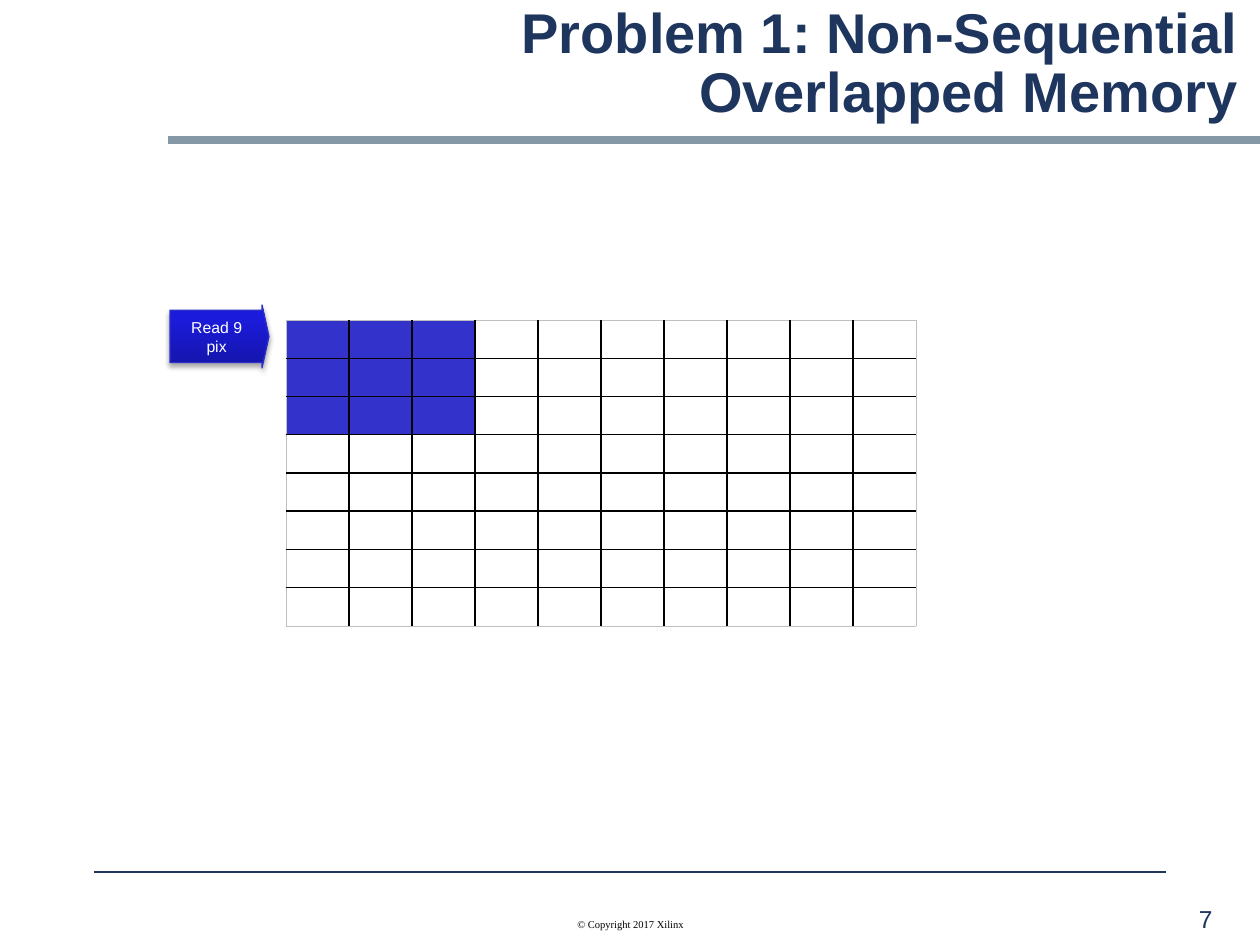
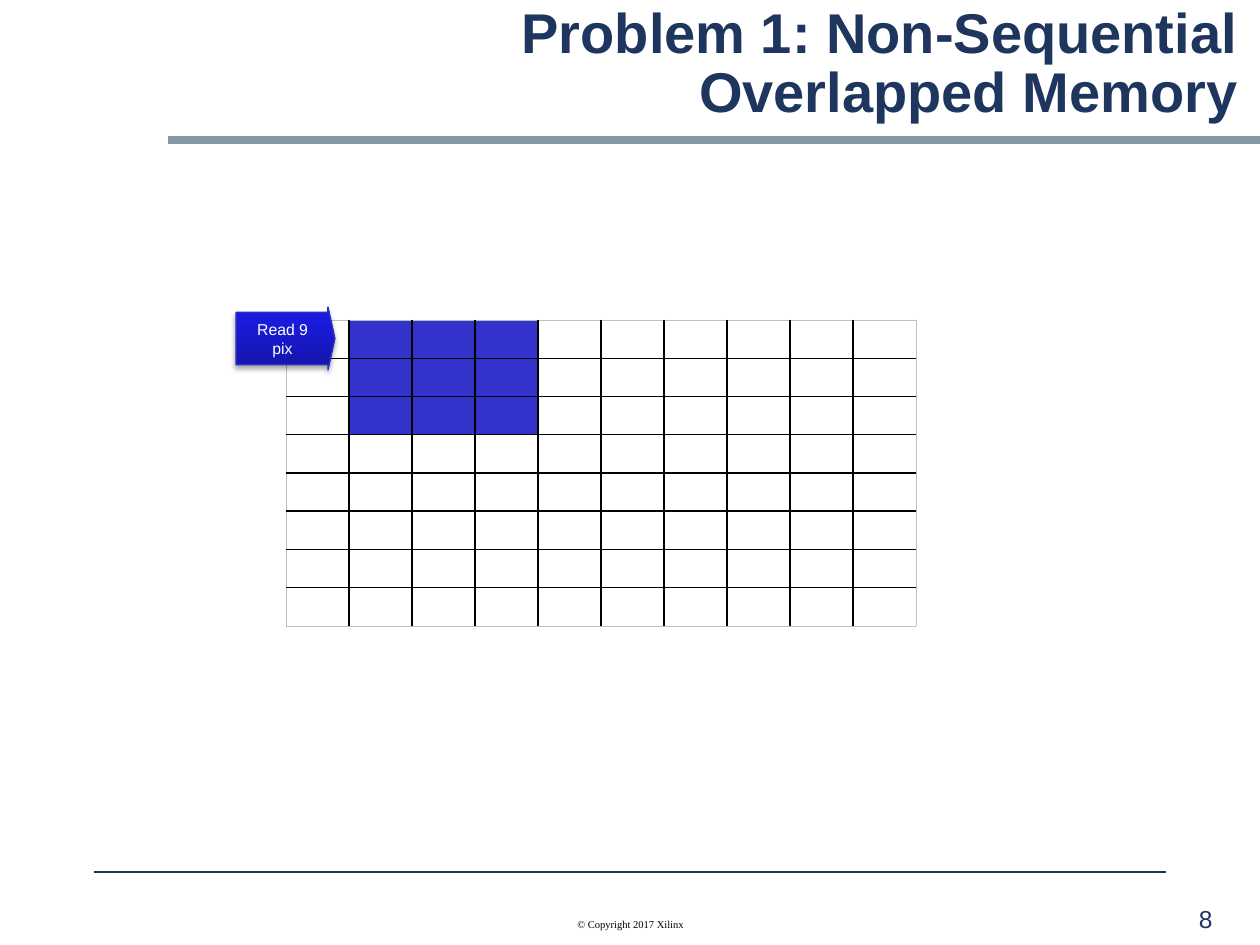
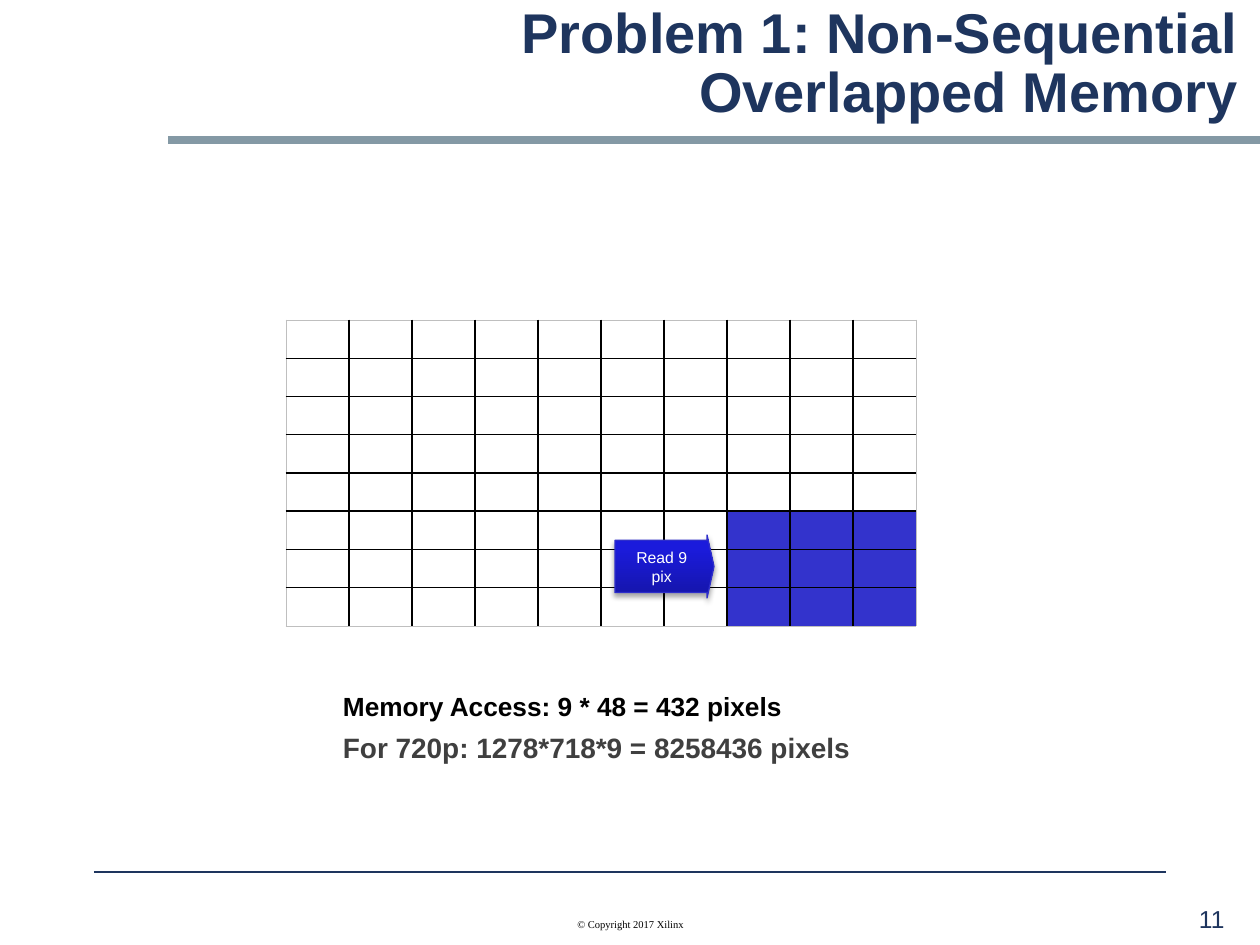
"""Builds three slides that show a 3 by 3 window read moving over a pixel grid."""
from copy import deepcopy

from lxml import etree
from pptx import Presentation
from pptx.dml.color import RGBColor
from pptx.enum.shapes import MSO_CONNECTOR, MSO_SHAPE
from pptx.enum.text import MSO_ANCHOR, PP_ALIGN
from pptx.oxml.ns import qn
from pptx.util import Pt

SCALE = 9144000 / 1260
NAVY = RGBColor(0x1E, 0x35, 0x5E)
SLATE = RGBColor(0x84, 0x99, 0xA5)
BLACK = RGBColor(0x00, 0x00, 0x00)
WHITE = RGBColor(0xFF, 0xFF, 0xFF)
GREY = RGBColor(0x3F, 0x3F, 0x3F)
SILVER = RGBColor(0xBF, 0xBF, 0xBF)
WINDOW_BLUE = RGBColor(0x33, 0x33, 0xCC)
ARROW_LINE = RGBColor(0x2E, 0x2E, 0xCB)
ARROW_STOPS = [
    (0, RGBColor(0x15, 0x15, 0xA9)),
    (0.8, RGBColor(0x1B, 0x1B, 0xDC)),
    (1, RGBColor(0x18, 0x18, 0xE1)),
]
LEFT, CENTER, RIGHT = PP_ALIGN.LEFT, PP_ALIGN.CENTER, PP_ALIGN.RIGHT
TOP, MIDDLE = MSO_ANCHOR.TOP, MSO_ANCHOR.MIDDLE
RECTANGLE, RIGHT_ARROW = MSO_SHAPE.RECTANGLE, MSO_SHAPE.RIGHT_ARROW
STRAIGHT = MSO_CONNECTOR.STRAIGHT

ROWS, COLUMNS, WINDOW = 8, 10, 3
GRID_WIDTH, GRID_HEIGHT = 630, 306
PAGES = [
    {"number": "7", "row": 0, "column": 0, "arrow": (170, 305), "totals": []},
    {"number": "8", "row": 0, "column": 1, "arrow": (236, 307), "totals": []},
    {"number": "11", "row": 5, "column": 7, "arrow": (615, 535), "totals": [
        ("Memory Access: 9 * 48 = 432 pixels", 15, BLACK, None),
        ("For 720p: 1278*718*9 = 8258436 pixels", 16, GREY, 3),
    ]},
]


def px(*lengths):
    return [round(length * SCALE) for length in lengths]


def write(frame, text, size, color, font="Arial", bold=False, align=LEFT,
          anchor=TOP, spacing=None, before=None, insets=(13, 6, 13, 6)):
    frame.word_wrap = True
    frame.vertical_anchor = anchor
    (frame.margin_left, frame.margin_top,
     frame.margin_right, frame.margin_bottom) = px(*insets)
    para = frame.add_paragraph() if frame.text else frame.paragraphs[0]
    para.alignment = align
    para.line_spacing = spacing
    if before:
        para.space_before = Pt(before)
    span = para.add_run()
    span.text = text
    span.font.name = font
    span.font.size = Pt(size)
    span.font.bold = bold
    span.font.color.rgb = color


deck = Presentation()
deck.slide_width, deck.slide_height = px(1260, 945)

for page in PAGES:
    slide = deck.slides.add_slide(deck.slide_layouts[6])
    shapes = slide.shapes

    band = shapes.add_shape(RECTANGLE, *px(168, 136, 1092, 8))
    band.shadow.inherit = False
    band.fill.solid()
    band.fill.fore_color.rgb = SLATE
    band.line.fill.background()

    rule = shapes.add_connector(STRAIGHT, *px(94, 872, 1166, 872))
    rule.line.color.rgb = NAVY
    rule.line.width = Pt(0.75)
    etree.SubElement(rule._element.spPr, qn("a:effectLst"))

    title = shapes.add_textbox(*px(189, 29, 1062, 73))
    write(title.text_frame, "Problem 1: Non-Sequential Overlapped Memory", 32, NAVY,
          bold=True, align=RIGHT, anchor=MIDDLE, spacing=0.88)
    number = shapes.add_textbox(*px(1186, 902, 82, 33))
    write(number.text_frame, page["number"], 14, NAVY, spacing=0.88)
    notice = shapes.add_textbox(*px(431, 907, 399, 34))
    write(notice.text_frame, "© Copyright 2017 Xilinx", 6, BLACK,
          font="Times New Roman", align=CENTER, anchor=MIDDLE)

    grid = shapes.add_table(ROWS, COLUMNS, *px(286, 320, GRID_WIDTH, GRID_HEIGHT)).table
    grid.first_row = False
    grid.horz_banding = False
    for row in range(ROWS):
        for column in range(COLUMNS):
            cell = grid.cell(row, column)
            cell.margin_top = cell.margin_bottom = 0
            etree.SubElement(cell.text_frame.paragraphs[0]._p,
                             qn("a:endParaRPr"), sz="1000")
            outer_edges = {
                "a:lnL": column == 0,
                "a:lnR": column == COLUMNS - 1,
                "a:lnT": row == 0,
                "a:lnB": row == ROWS - 1,
            }
            for edge, is_outer in outer_edges.items():
                border = etree.SubElement(cell._tc.get_or_add_tcPr(), qn(edge),
                                          w=str(Pt(0.5 if is_outer else 1)))
                paint = etree.SubElement(border, qn("a:solidFill"))
                etree.SubElement(paint, qn("a:srgbClr"),
                                 val=str(SILVER if is_outer else BLACK))
            in_window = (0 <= row - page["row"] < WINDOW
                         and 0 <= column - page["column"] < WINDOW)
            cell.fill.solid()
            cell.fill.fore_color.rgb = WINDOW_BLUE if in_window else WHITE

    arrow = shapes.add_shape(RIGHT_ARROW, *px(*page["arrow"], 99, 63))
    arrow.adjustments[0] = 0.83
    arrow.adjustments[1] = 0.11
    arrow.fill.gradient()
    arrow.fill.gradient_angle = 90
    stop_list = arrow._element.spPr.find(".//" + qn("a:gsLst"))
    stop_list.append(deepcopy(stop_list[-1]))
    for stop, (position, color) in zip(arrow.fill.gradient_stops, ARROW_STOPS):
        stop.position = position
        stop.color.rgb = color
    arrow.line.color.rgb = ARROW_LINE
    arrow.line.width = Pt(0.75)
    arrow.shadow.inherit = False
    effects = arrow._element.spPr.find(qn("a:effectLst"))
    shadow = etree.SubElement(effects, qn("a:outerShdw"), blurRad=str(Pt(3.1)),
                              dist=str(Pt(1.8)), dir="5400000", rotWithShape="0")
    shade = etree.SubElement(shadow, qn("a:srgbClr"), val=str(BLACK))
    etree.SubElement(shade, qn("a:alpha"), val="35000")
    write(arrow.text_frame, "Read 9 pix", 9, WHITE, align=CENTER, anchor=MIDDLE,
          insets=(10, 5, 10, 5))

    if page["totals"]:
        totals = shapes.add_textbox(*px(343, 682, 573, 88))
        for text, size, color, before in page["totals"]:
            write(totals.text_frame, text, size, color, bold=True, spacing=1.1,
                  before=before, insets=(0, 5, 10, 5))

deck.save("out.pptx")
